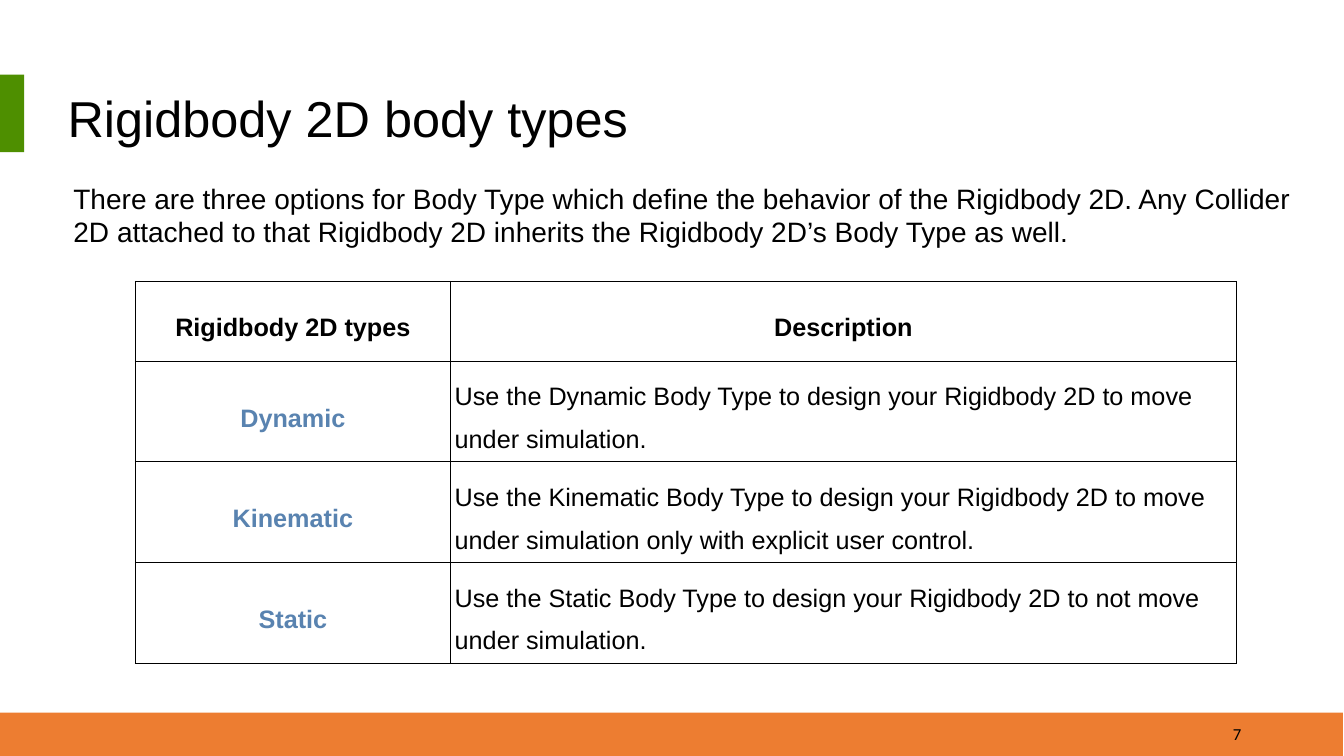
"""Build the slide that explains the Rigidbody 2D body types."""
import pptx
import pptx.dml.color
import pptx.enum.shapes
import pptx.enum.text
import pptx.oxml
import pptx.oxml.ns
import pptx.util

Inches = pptx.util.Inches
Pt = pptx.util.Pt
RGBColor = pptx.dml.color.RGBColor
ALIGN = pptx.enum.text.PP_ALIGN
MIDDLE = pptx.enum.text.MSO_ANCHOR.MIDDLE

BLACK = RGBColor(0x00, 0x00, 0x00)
ORANGE = RGBColor(0xED, 0x7D, 0x31)
GREEN = RGBColor(0x4E, 0x8F, 0x00)
BLUE = RGBColor(0x59, 0x83, 0xB0)


def add_run(paragraph, text, size, color=BLACK, bold=False, font="Arial"):
    run = paragraph.add_run()
    run.text = text
    run.font.size = Pt(size)
    run.font.name = font
    run.font.bold = bold
    run.font.color.rgb = color


def add_border(cell, side):
    border = pptx.oxml.parse_xml(
        f'<a:{side} {pptx.oxml.ns.nsdecls("a")} w="{Pt(0.57)}">'
        f'<a:solidFill><a:srgbClr val="{BLACK}"/></a:solidFill></a:{side}>'
    )
    cell._tc.get_or_add_tcPr().append(border)


deck = pptx.Presentation()
deck.slide_width = Inches(13.33)
deck.slide_height = Inches(7.5)
slide = deck.slides.add_slide(deck.slide_layouts[5])

bands = [
    (0, 7.07, 13.32, 0.43, ORANGE),
    (0, 0.74, 0.24, 0.77, GREEN),
]
for left, top, width, height, color in bands:
    band = slide.shapes.add_shape(
        pptx.enum.shapes.MSO_SHAPE.RECTANGLE,
        Inches(left), Inches(top), Inches(width), Inches(height),
    )
    band.shadow.inherit = False
    band.fill.solid()
    band.fill.fore_color.rgb = color
    band.line.fill.background()

title = slide.shapes.title
title.left, title.top = Inches(0.67), Inches(0.79)
title.width, title.height = Inches(12), Inches(0.75)
heading = title.text_frame
heading.margin_left = heading.margin_right = Inches(0)
heading.margin_top = heading.margin_bottom = Inches(0)
heading.vertical_anchor = MIDDLE
heading.paragraphs[0].alignment = ALIGN.LEFT
add_run(heading.paragraphs[0], "Rigidbody 2D body types", 36)

intro = slide.shapes.add_textbox(
    Inches(0.63), Inches(1.75), Inches(12.37), Inches(1)
).text_frame
intro.word_wrap = True
add_run(
    intro.paragraphs[0],
    "There are three options for Body Type which define the behavior of the "
    "Rigidbody 2D. Any Collider 2D attached to that Rigidbody 2D inherits the "
    "Rigidbody 2D’s Body Type as well.",
    20,
)

body_types = [
    ("Rigidbody 2D types", "Description"),
    ("Dynamic", "Use the Dynamic Body Type to design your Rigidbody 2D to move "
                "under simulation."),
    ("Kinematic", "Use the Kinematic Body Type to design your Rigidbody 2D to move "
                  "under simulation only with explicit user control."),
    ("Static", "Use the Static Body Type to design your Rigidbody 2D to not move "
               "under simulation."),
]
types_table = slide.shapes.add_table(
    len(body_types), 2, Inches(1.34), Inches(2.79), Inches(10.92), Inches(3.61)
).table
types_table.columns[0].width = Inches(3.13)
types_table.columns[1].width = Inches(7.79)

for row, texts in enumerate(body_types):
    types_table.rows[row].height = Inches(0.94 if row else 0.79)
    for column, text in enumerate(texts):
        is_description = row > 0 and column == 1
        is_type_name = row > 0 and column == 0
        cell = types_table.cell(row, column)
        cell.margin_left = cell.margin_right = Inches(0.04)
        cell.margin_top = cell.margin_bottom = Inches(0.05)
        cell.vertical_anchor = MIDDLE
        for side in ("lnL", "lnR", "lnT", "lnB"):
            add_border(cell, side)
        cell.fill.background()
        paragraph = cell.text_frame.paragraphs[0]
        paragraph.alignment = ALIGN.LEFT if is_description else ALIGN.CENTER
        paragraph.line_spacing = 1.5
        paragraph.space_after = Pt(11.3)
        add_run(paragraph, text, 18, BLUE if is_type_name else BLACK,
                bold=not is_description)

page_number = slide.shapes.add_textbox(
    Inches(9.42), Inches(7.09), Inches(2.99), Inches(0.38)
).text_frame
page_number.word_wrap = True
page_number.vertical_anchor = MIDDLE
page_number.paragraphs[0].alignment = ALIGN.RIGHT
add_run(page_number.paragraphs[0], "7", 12, font="Calibri")

deck.save("out.pptx")
